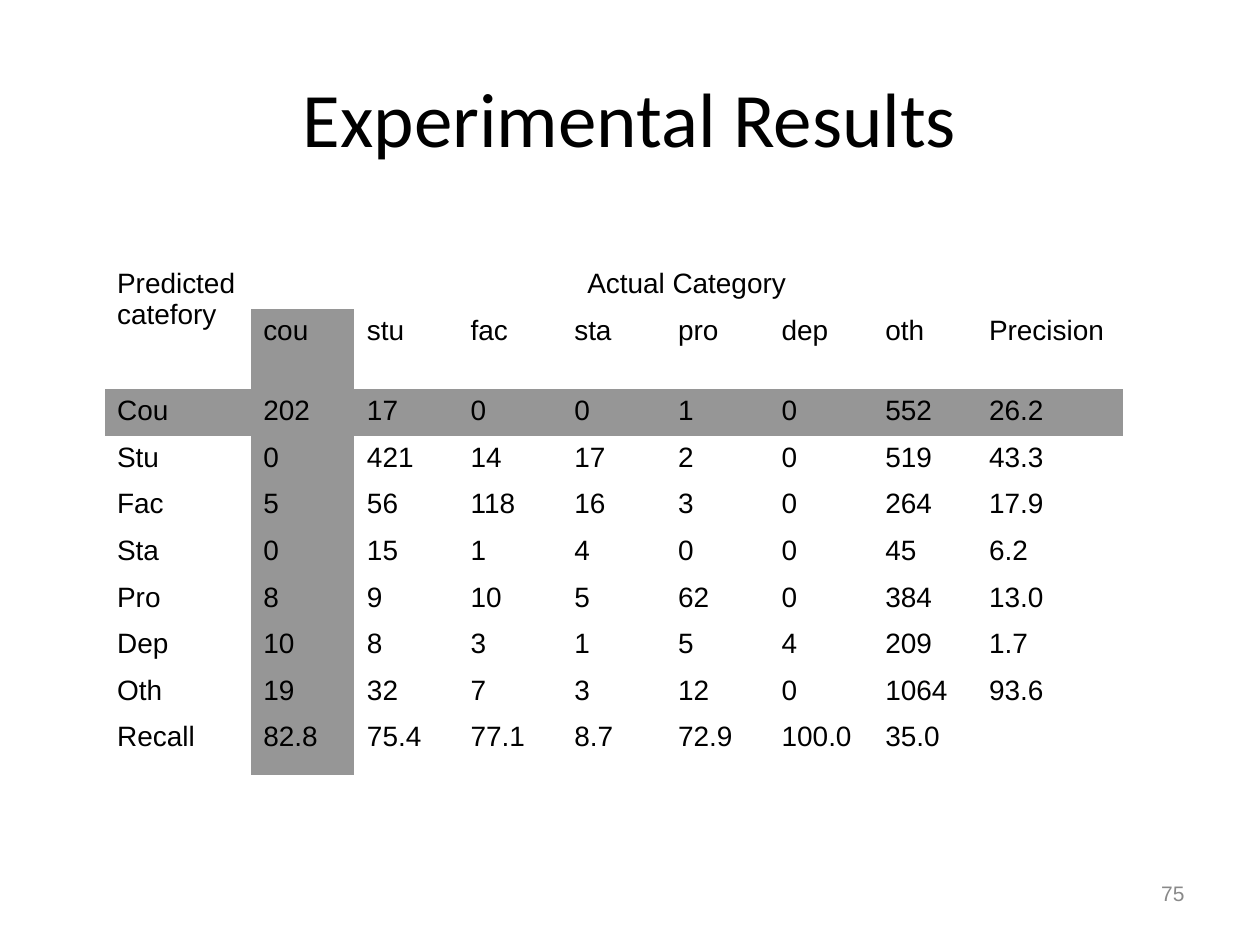
from pptx import Presentation
from pptx.dml.color import RGBColor
from pptx.enum.text import MSO_ANCHOR as Anchor, PP_ALIGN as Align
from pptx.util import Inches, Pt

WIDE, HIGH = 10, 7.5
BLACK, GREY, PALE = "000000", "969696", "898989"
PLAIN = "{2D5ABB26-0587-4C30-8999-92F81FD0307C}"
HEADS = "cou stu fac sta pro dep oth Precision".split()
ROWS = [line.split() for line in (
    "Cou 202 17 0 0 1 0 552 26.2",
    "Stu 0 421 14 17 2 0 519 43.3",
    "Fac 5 56 118 16 3 0 264 17.9",
    "Sta 0 15 1 4 0 0 45 6.2",
    "Pro 8 9 10 5 62 0 384 13.0",
    "Dep 10 8 3 1 5 4 209 1.7",
    "Oth 19 32 7 3 12 0 1064 93.6",
    "Recall 82.8 75.4 77.1 8.7 72.9 100.0 35.0",
)]


def color(code):
    return RGBColor.from_string(code)


def write(frame, text, size, face="Arial", code=BLACK, align=Align.LEFT):
    para = frame.paragraphs[0]
    para.alignment = align
    run = para.add_run()
    run.text = text
    font = run.font
    font.size, font.name = Pt(size), face
    font.color.rgb = color(code)


def add_title(slide, text):
    title = slide.shapes.title
    title.left, title.top = Inches(0.05 * WIDE), Inches(0.04 * HIGH)
    title.width, title.height = Inches(0.9 * WIDE), Inches(1.25)
    title.text_frame.vertical_anchor = Anchor.MIDDLE
    write(title.text_frame, text, 44, "Calibri", align=Align.CENTER)


def add_grid(slide):
    side, total = 1.16, 8.08
    step = (total - 2 * side) / 7
    cols = [side] + [step] * 7 + [side]
    highs = [0.37, 0.64] + [0.37] * 7 + [0.47]
    shape = slide.shapes.add_table(
        len(highs), len(cols), Inches(0.83), Inches(2.08),
        Inches(total), Inches(sum(highs)))
    grid = shape.table
    grid.first_row = grid.horz_banding = False
    shape._element.graphic.graphicData.tbl.tblPr[0].text = PLAIN
    for col, width in zip(grid.columns, cols):
        col.width = Inches(width)
    for row, high in zip(grid.rows, highs):
        row.height = Inches(high)
    grid.cell(0, 0).merge(grid.cell(1, 0))
    grid.cell(0, 1).merge(grid.cell(0, 8))

    lines = [["Predicted catefory", "Actual Category"], [""] + HEADS] + ROWS
    for i in range(len(highs)):
        for j in range(len(cols)):
            fill = grid.cell(i, j).fill
            if i == 2 or (j == 1 and i > 0):
                fill.solid()
                fill.fore_color.rgb = color(GREY)
            else:
                fill.background()
        for j, text in enumerate(lines[i]):
            if text:
                align = Align.CENTER if (i, j) == (0, 1) else Align.LEFT
                write(grid.cell(i, j).text_frame, text, 16, align=align)


def add_number(slide, text):
    box = slide.shapes.add_textbox(
        Inches(7.17), Inches(6.83), Inches(2.33), Inches(0.52))
    frame = box.text_frame
    frame.word_wrap = True
    frame.vertical_anchor = Anchor.MIDDLE
    write(frame, text, 12, code=PALE, align=Align.RIGHT)


def main():
    deck = Presentation()
    deck.slide_width, deck.slide_height = Inches(WIDE), Inches(HIGH)
    slide = deck.slides.add_slide(deck.slide_layouts[5])
    add_title(slide, "Experimental Results")
    add_grid(slide)
    add_number(slide, "75")
    deck.save("out.pptx")


if __name__ == "__main__":
    main()
